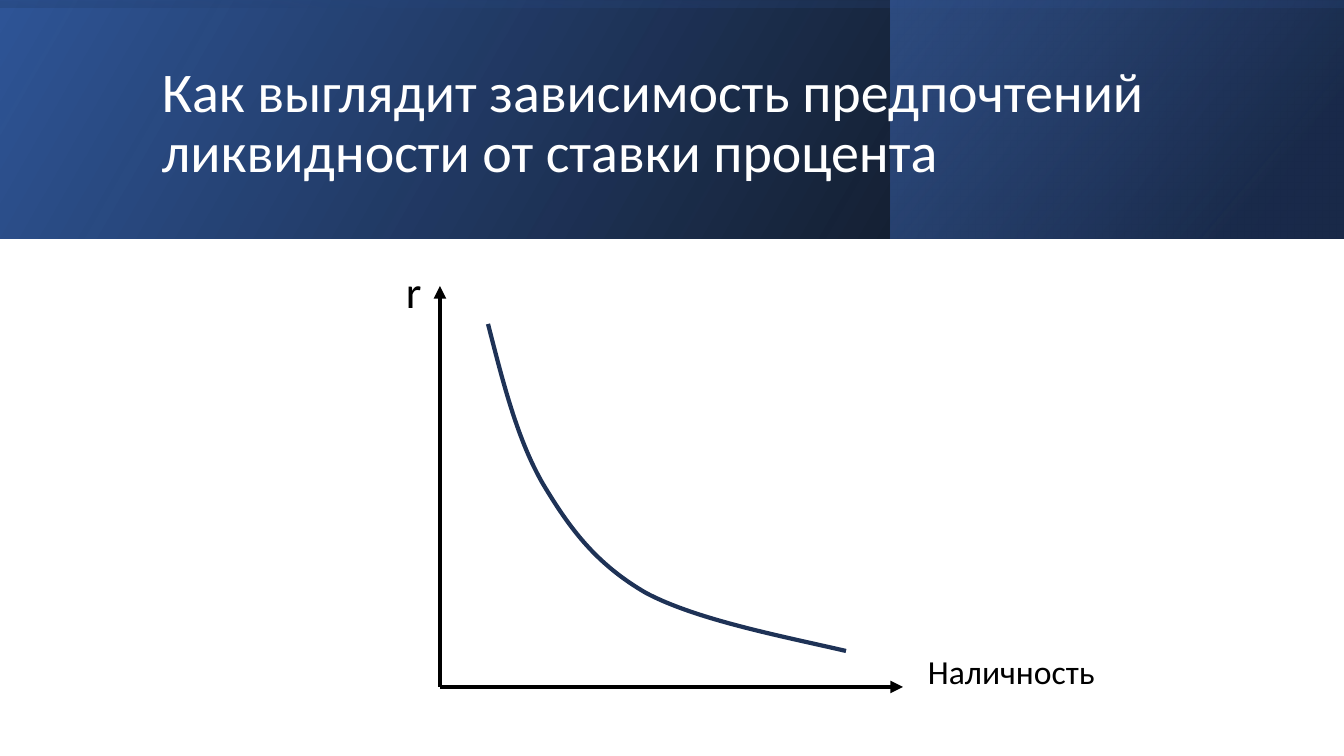
"""Builds a slide with the liquidity preference curve."""
from lxml.etree import SubElement
from pptx import Presentation
from pptx.dml.color import RGBColor
from pptx.enum.shapes import MSO_CONNECTOR, MSO_SHAPE
from pptx.enum.text import MSO_ANCHOR
from pptx.oxml.ns import qn
from pptx.util import Emu, Pt

PX = 914400 / 100.8
WIDTH, HEIGHT, BAND = 1344, 756, 239
FONT = "Calibri"

TITLE = "Как выглядит зависимость предпочтений ликвидности от ставки процента"
TEXTS = [
    (TITLE, (152, 38, 1072, 173), 40, "FFFFFF", True, MSO_ANCHOR.MIDDLE, 0.9),
    ("r", (396, 259, 43, 65), 32, "000000", True, MSO_ANCHOR.TOP, 1.0),
    ("Наличность", (918, 646, 188, 50), 24, "000000", False, MSO_ANCHOR.TOP, 1.0),
]
SIDE = (WIDTH - BAND) // 2
BANDS = [
    ((0, 0, WIDTH, BAND), 0, 330, [(0, "000000", 96), (100, "2F5597", 100)]),
    ((891, 0, 452, BAND), 0, 320, [(19, "203864", 68), (100, "4472C4", 48)]),
    ((SIDE, -SIDE, BAND, WIDTH), 270, 350, [(23, "2F5597", 16), (99, "000000", 45)]),
]
ORIGIN = (440, 687)
AXIS_ENDS = [(903, 687), (440, 286)]
CURVE_START = (488, 324)
CURVE_PARTS = [
    [(503, 382), (517, 439), (543, 484)],
    [(570, 529), (596, 564), (646, 593)],
    [(697, 620), (781, 636), (846, 651)],
]


def emu(*lengths):
    return [Emu(round(length * PX)) for length in lengths]


def color(value):
    return RGBColor.from_string(value)


def add_band(page, place, rotation, angle, stops):
    band = page.shapes.add_shape(MSO_SHAPE.RECTANGLE, *emu(*place))
    band.shadow.inherit = False
    band.line.fill.background()
    band.rotation = rotation
    properties = band._element.spPr
    properties.find(qn("a:xfrm")).set("flipH", "1")
    gradient = SubElement(properties, qn("a:gradFill"), rotWithShape="1")
    properties.find(qn("a:prstGeom")).addnext(gradient)
    stop_list = SubElement(gradient, qn("a:gsLst"))
    for position, value, opacity in stops:
        stop = SubElement(stop_list, qn("a:gs"), pos=str(position * 1000))
        tint = SubElement(stop, qn("a:srgbClr"), val=value)
        SubElement(tint, qn("a:alpha"), val=str(opacity * 1000))
    SubElement(gradient, qn("a:lin"), ang=str(angle * 60000), scaled="0")


def add_text(page, text, place, size, value, wrap, anchor, spacing):
    frame = page.shapes.add_textbox(*emu(*place)).text_frame
    frame.word_wrap = wrap
    frame.vertical_anchor = anchor
    para = frame.paragraphs[0]
    para.text = text
    para.line_spacing = spacing
    para.font.name = FONT
    para.font.size = Pt(size)
    para.font.color.rgb = color(value)


def add_axis(page, end):
    axis = page.shapes.add_connector(MSO_CONNECTOR.STRAIGHT, *emu(*ORIGIN, *end))
    axis.line.color.rgb = color("000000")
    axis.line.width = Pt(3)
    SubElement(axis.line._get_or_add_ln(), qn("a:tailEnd"), type="triangle")
    SubElement(axis._element.spPr, qn("a:effectLst"))


def add_curve(page):
    builder = page.shapes.build_freeform(*CURVE_START, scale=PX)
    builder.add_line_segments([part[-1] for part in CURVE_PARTS], close=False)
    curve = builder.convert_to_shape()
    curve.shadow.inherit = False
    curve.fill.background()
    curve.line.color.rgb = color("1E3256")
    curve.line.width = Pt(3)
    left, top = CURVE_START
    for segment, points in zip(list(curve._element.iter(qn("a:lnTo"))), CURVE_PARTS):
        bend = SubElement(segment.getparent(), qn("a:cubicBezTo"))
        for x, y in points:
            SubElement(bend, qn("a:pt"), x=str(x - left), y=str(y - top))
        segment.getparent().replace(segment, bend)


def main():
    deck = Presentation()
    deck.slide_width, deck.slide_height = emu(WIDTH, HEIGHT)
    page = deck.slides.add_slide(deck.slide_layouts[6])
    for band in BANDS:
        add_band(page, *band)
    for text in TEXTS:
        add_text(page, *text)
    for end in AXIS_ENDS:
        add_axis(page, end)
    add_curve(page)
    deck.save("out.pptx")


if __name__ == "__main__":
    main()
